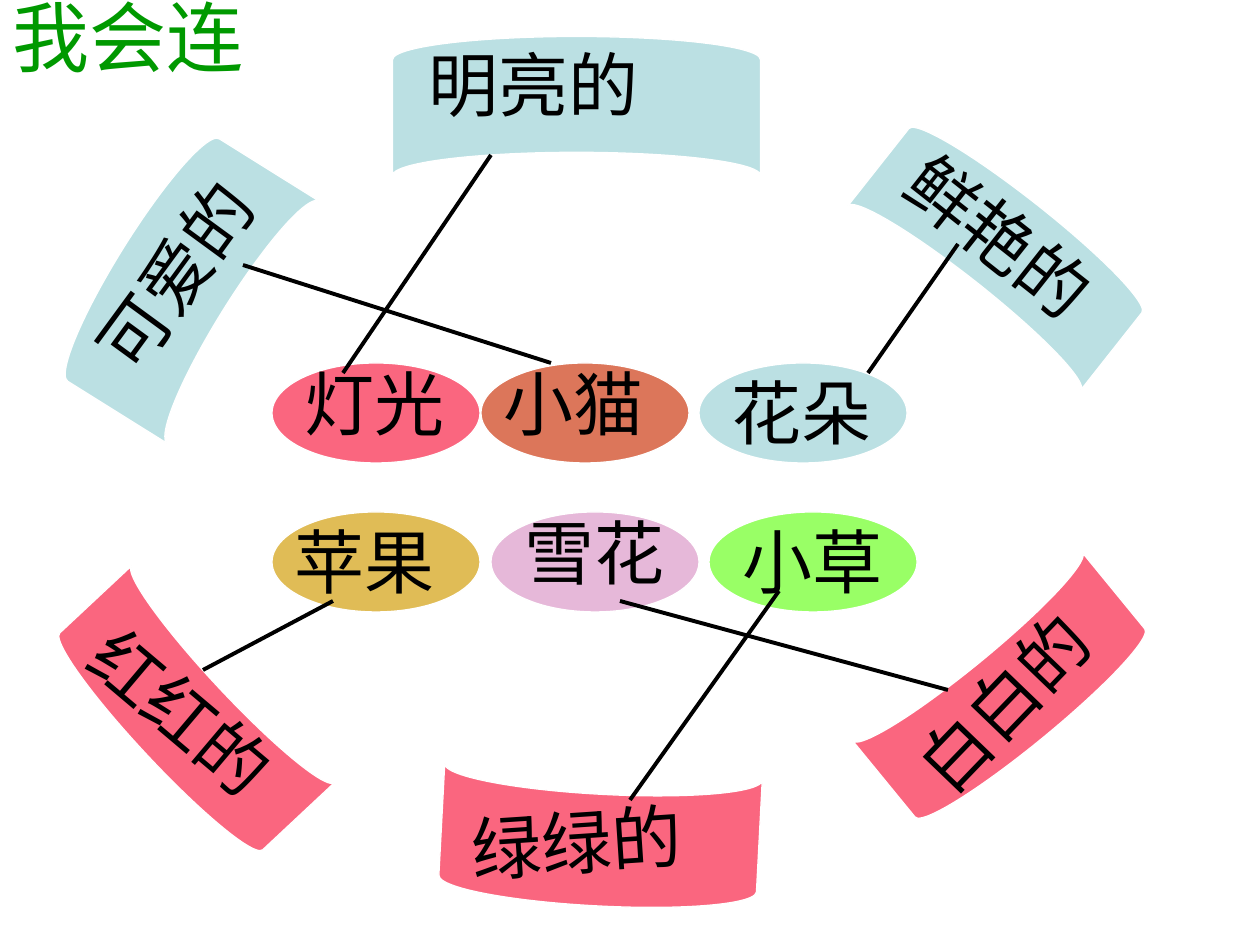
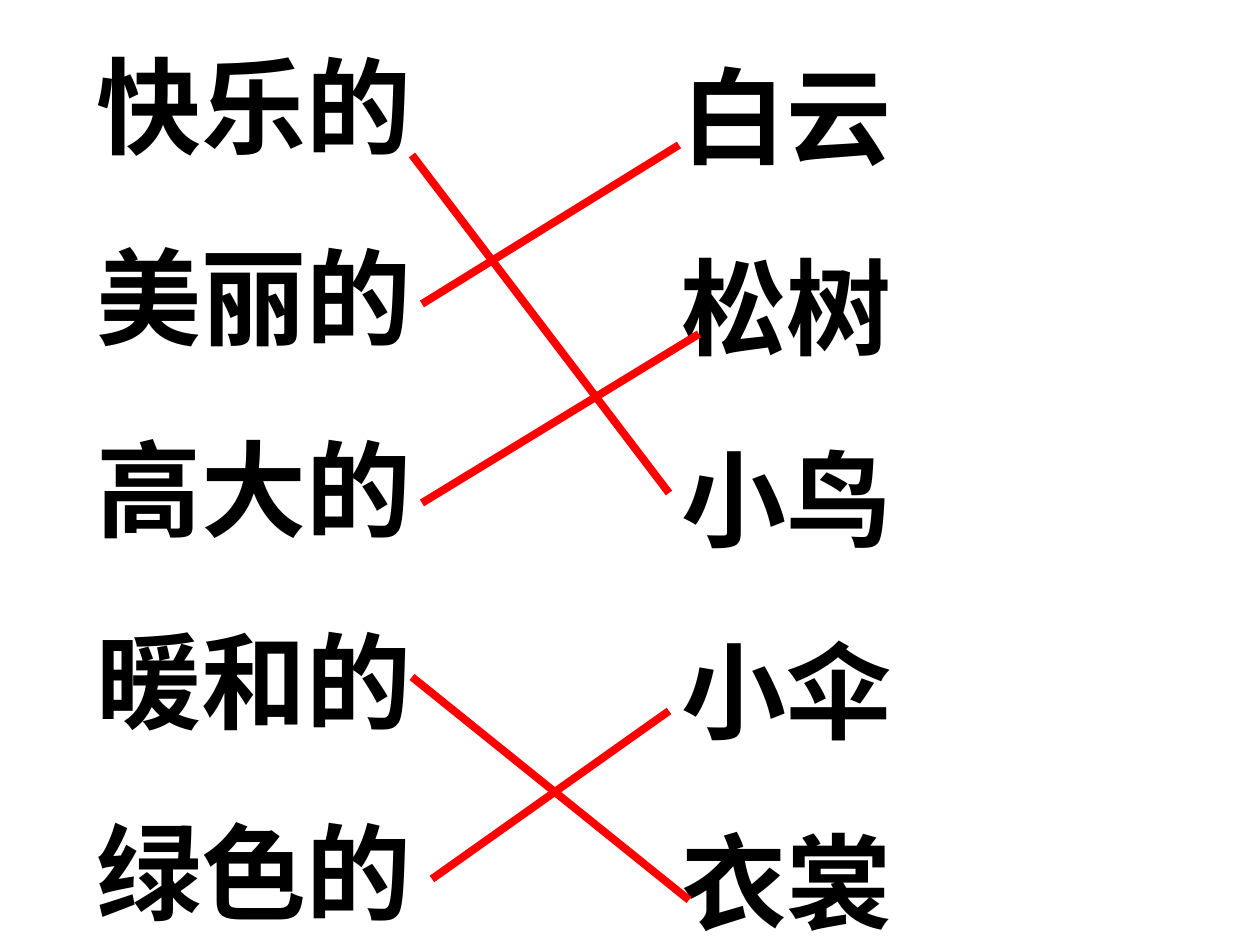
"""Build two word-matching exercise slides."""
from lxml.etree import SubElement
from pptx import Presentation
from pptx.dml.color import RGBColor
from pptx.enum.shapes import MSO_CONNECTOR, MSO_SHAPE
from pptx.enum.text import MSO_ANCHOR, PP_ALIGN
from pptx.oxml.ns import qn
from pptx.util import Emu, Pt

PX_PER_INCH = 126
SLIDE_SIZE = (1260, 945)
FONT = "Arial"

BLACK = RGBColor(0x00, 0x00, 0x00)
WHITE = RGBColor(0xFF, 0xFF, 0xFF)
RED = RGBColor(0xFF, 0x00, 0x00)
TITLE_GREEN = RGBColor(0x00, 0x99, 0x00)
ROSE = RGBColor(0xFA, 0x66, 0x7F)
PALE_BLUE = RGBColor(0xBB, 0xE0, 0xE3)
LILAC = RGBColor(0xE6, 0xB8, 0xD9)
LIME = RGBColor(0x99, 0xFF, 0x66)
GOLD = RGBColor(0xE0, 0xBC, 0x56)
TERRACOTTA = RGBColor(0xDC, 0x76, 0x5A)

TITLE = "我会连"
TITLE_BOX = (0, -43, 1134, 158)

# word, colour, ribbon box, ribbon rotation, word box, word rotation
RIBBONS = [
    ("红红的", ROSE, (131, 566, 118, 297), 316.9, (54, 690, 318, 97), 40.2),
    ("可爱的", PALE_BLUE, (113, 142, 141, 286), 32, (39, 190, 325, 97), 306.2),
    ("鲜艳的", PALE_BLUE, (942, 103, 118, 297), 128.3, (873, 213, 318, 97), 38.3),
    ("明亮的", PALE_BLUE, (507, -78, 139, 368), 90, (416, 35, 392, 97), 0),
    ("绿绿的", ROSE, (533, 680, 134, 318), 273, (459, 789, 357, 97), 356.2),
    ("白白的", ROSE, (946, 544, 118, 297), 230.7, (873, 624, 318, 97), 313.9),
]

OVAL_SIZE = (208, 100)
NOUN_SIZE = (218, 97)
# word, colour, oval corner, word corner
NOUNS = [
    ("灯光", ROSE, (272, 363), (292, 354)),
    ("小猫", TERRACOTTA, (481, 363), (491, 354)),
    ("花朵", PALE_BLUE, (699, 363), (719, 363)),
    ("苹果", GOLD, (272, 512), (282, 512)),
    ("雪花", LILAC, (491, 512), (512, 503)),
    ("小草", LIME, (709, 512), (730, 512)),
]
NOUN_LINKS = [
    (243, 265, 551, 363),
    (203, 670, 333, 601),
    (620, 601, 948, 690),
    (958, 244, 868, 373),
    (779, 591, 630, 800),
    (491, 155, 343, 373),
]

COLUMNS = [
    (["快乐的", "美丽的", "高大的", "暖和的", "绿色的"], (84, 35, 407, 906)),
    (["白云", "松树", "小鸟", "小伞", "衣裳"], (669, 45, 348, 906)),
]
COLUMN_LINKS = [
    (412, 155, 669, 493),
    (422, 304, 679, 145),
    (432, 879, 669, 711),
    (412, 677, 689, 900),
    (422, 503, 699, 334),
]


def scaled(lengths):
    """Turn px lengths into EMU."""
    return [Emu(round(length * 914400 / PX_PER_INCH)) for length in lengths]


def format_paragraph(paragraph, size, color, bold=False):
    """Set the font of a whole paragraph."""
    paragraph.font.name = FONT
    paragraph.font.size = Pt(size)
    paragraph.font.bold = bold
    paragraph.font.color.rgb = color


def add_words(slide, words, box, size, rotation=0, bold=False, gap=0):
    """Add a text box with one word per paragraph."""
    shape = slide.shapes.add_textbox(*scaled(box))
    shape.rotation = rotation
    frame = shape.text_frame
    frame.word_wrap = True
    frame.text = "\n".join(words)
    for paragraph in frame.paragraphs:
        format_paragraph(paragraph, size, BLACK, bold)
    for paragraph in frame.paragraphs[1:]:
        paragraph.space_before = Pt(gap)


def add_filled(slide, kind, box, color, rotation=0):
    """Add a filled preset shape with a thin white outline."""
    shape = slide.shapes.add_shape(kind, *scaled(box))
    shape.rotation = rotation
    shape.shadow.inherit = False
    shape.fill.solid()
    shape.fill.fore_color.rgb = color
    shape.line.color.rgb = WHITE
    shape.line.width = Pt(0.75)


def add_links(slide, links, color, width):
    """Draw the straight answer lines."""
    for ends in links:
        connector = slide.shapes.add_connector(MSO_CONNECTOR.STRAIGHT, *scaled(ends))
        connector.line.color.rgb = color
        connector.line.width = Pt(width)
        SubElement(connector._element.spPr, qn("a:effectLst"))


def build_ribbon_slide(presentation):
    """Link describing words on ribbons to nouns on ovals."""
    slide = presentation.slides.add_slide(presentation.slide_layouts[5])
    title = slide.shapes.title
    title.left, title.top, title.width, title.height = scaled(TITLE_BOX)
    title.text_frame.text = TITLE
    title.text_frame.vertical_anchor = MSO_ANCHOR.MIDDLE
    paragraph = title.text_frame.paragraphs[0]
    paragraph.alignment = PP_ALIGN.LEFT
    format_paragraph(paragraph, 44, TITLE_GREEN)

    for word, color, ribbon_box, ribbon_turn, word_box, word_turn in RIBBONS:
        add_filled(slide, MSO_SHAPE.FLOWCHART_STORED_DATA, ribbon_box, color, ribbon_turn)
        add_words(slide, [word], word_box, 40, word_turn)
    for word, color, oval_corner, word_corner in NOUNS:
        add_filled(slide, MSO_SHAPE.OVAL, oval_corner + OVAL_SIZE, color)
        add_words(slide, [word], word_corner + NOUN_SIZE, 40)
    add_links(slide, NOUN_LINKS, BLACK, 2.25)


def build_column_slide(presentation):
    """Link two columns of words."""
    slide = presentation.slides.add_slide(presentation.slide_layouts[6])
    for words, box in COLUMNS:
        add_words(slide, words, box, 60, bold=True, gap=37.5)
    add_links(slide, COLUMN_LINKS, RED, 4.5)


def main():
    """Build and save the presentation."""
    presentation = Presentation()
    presentation.slide_width, presentation.slide_height = scaled(SLIDE_SIZE)
    build_ribbon_slide(presentation)
    build_column_slide(presentation)
    presentation.save("out.pptx")


if __name__ == "__main__":
    main()
